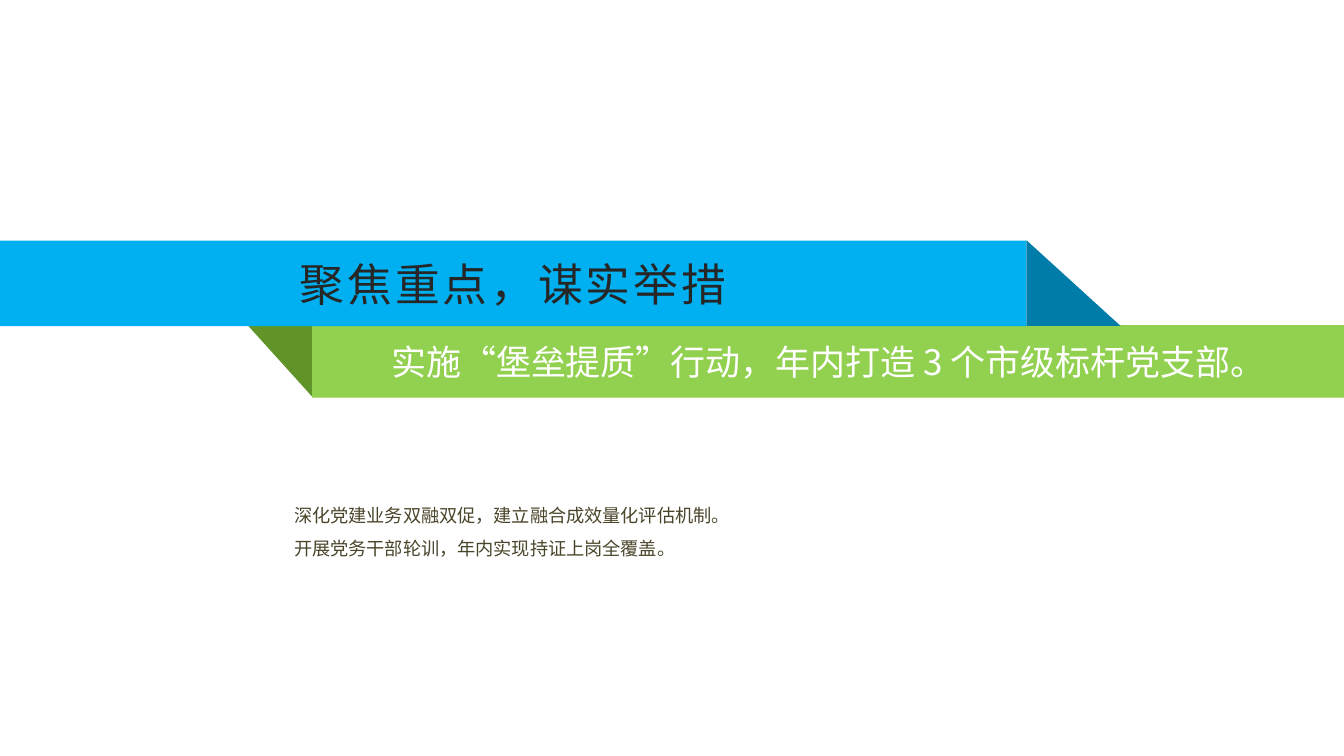
from pptx import Presentation, util as u
from pptx.dml.color import RGBColor
from pptx.enum import shapes, text
from pptx.oxml import ns
from lxml import etree


def colour(value):
    return RGBColor.from_string(value)


class Page:
    font = "Noto Sans CJK SC"
    blue, dark_blue = "00B0F0", "007CA8"
    green, dark_green = "92D050", "619428"
    white, ink, olive = "FFFFFF", "262626", "4A452A"

    def __init__(self, deck):
        self.shapes = deck.slides.add_slide(deck.slide_layouts[6]).shapes

    def paint(self, shape, fill):
        shape.shadow.inherit = False
        shape.fill.solid()
        shape.fill.fore_color.rgb = colour(fill)
        shape.line.fill.background()
        return shape

    def preset(self, kind, place, fill):
        return self.paint(self.shapes.add_shape(kind, *map(u.Pt, place)), fill)

    def fold(self, points, fill):
        start, *rest = [tuple(map(u.Pt, point)) for point in points]
        builder = self.shapes.build_freeform(*start, scale=1.0)
        builder.add_line_segments(rest, close=True)
        return self.paint(builder.convert_to_shape(), fill)

    def band(self, place, fill, words, size, ink, inset=0, tracking=0):
        box = self.preset(shapes.MSO_SHAPE.RECTANGLE, place, fill)
        insets = dict(margin_left=u.Pt(inset), margin_right=u.Pt(inset),
                      margin_top=0, margin_bottom=0)
        self.set_text(box, [words], size, ink, insets,
                      {"alignment": text.PP_ALIGN.CENTER}, tracking)

    def note(self, place, lines, size, ink, leading):
        box = self.shapes.add_textbox(*map(u.Pt, place))
        self.set_text(box, lines, size, ink, {},
                      {"alignment": text.PP_ALIGN.LEFT, "line_spacing": u.Pt(leading)})

    def set_text(self, box, lines, size, ink, frame_format, para_format, tracking=0):
        frame = box.text_frame
        self.apply(frame, {"word_wrap": True,
                           "vertical_anchor": text.MSO_ANCHOR.MIDDLE, **frame_format})
        for index, words in enumerate(lines):
            para = frame.add_paragraph() if index else frame.paragraphs[0]
            self.apply(para, para_format)
            span = para.add_run()
            span.text = words
            self.apply(span.font, {"size": u.Pt(size), "name": self.font})
            span.font.color.rgb = colour(ink)
            properties = span._r.get_or_add_rPr()
            properties.set("lang", "zh-CN")
            if tracking:
                properties.set("spc", str(tracking * 100))
            etree.SubElement(properties, ns.qn("a:ea"), typeface=self.font)

    def apply(self, target, values):
        for name, value in values.items():
            setattr(target, name, value)


def main():
    deck = Presentation()
    deck.slide_width, deck.slide_height = u.Pt(960), u.Pt(540)
    page = Page(deck)
    page.fold([(176.6, 232), (223.3, 283.7), (223.8, 232)], page.dark_green)
    page.band((223, 232.2, 737, 51.8), page.green,
              "实施“堡垒提质”行动，年内打造 3 个市级标杆党支部。", 25, page.white, inset=14.4)
    page.band((0, 171.8, 733, 61.2), page.blue,
              "聚焦重点，谋实举措", 32, page.ink, tracking=2)
    page.preset(shapes.MSO_SHAPE.RIGHT_TRIANGLE, (733.2, 171.6, 67.2, 61.2), page.dark_blue)
    page.note((203, 309, 543.6, 133.2),
              ["深化党建业务双融双促，建立融合成效量化评估机制。",
               "开展党务干部轮训，年内实现持证上岗全覆盖。"], 13, page.olive, 24)
    deck.save("out.pptx")


if __name__ == "__main__":
    main()
